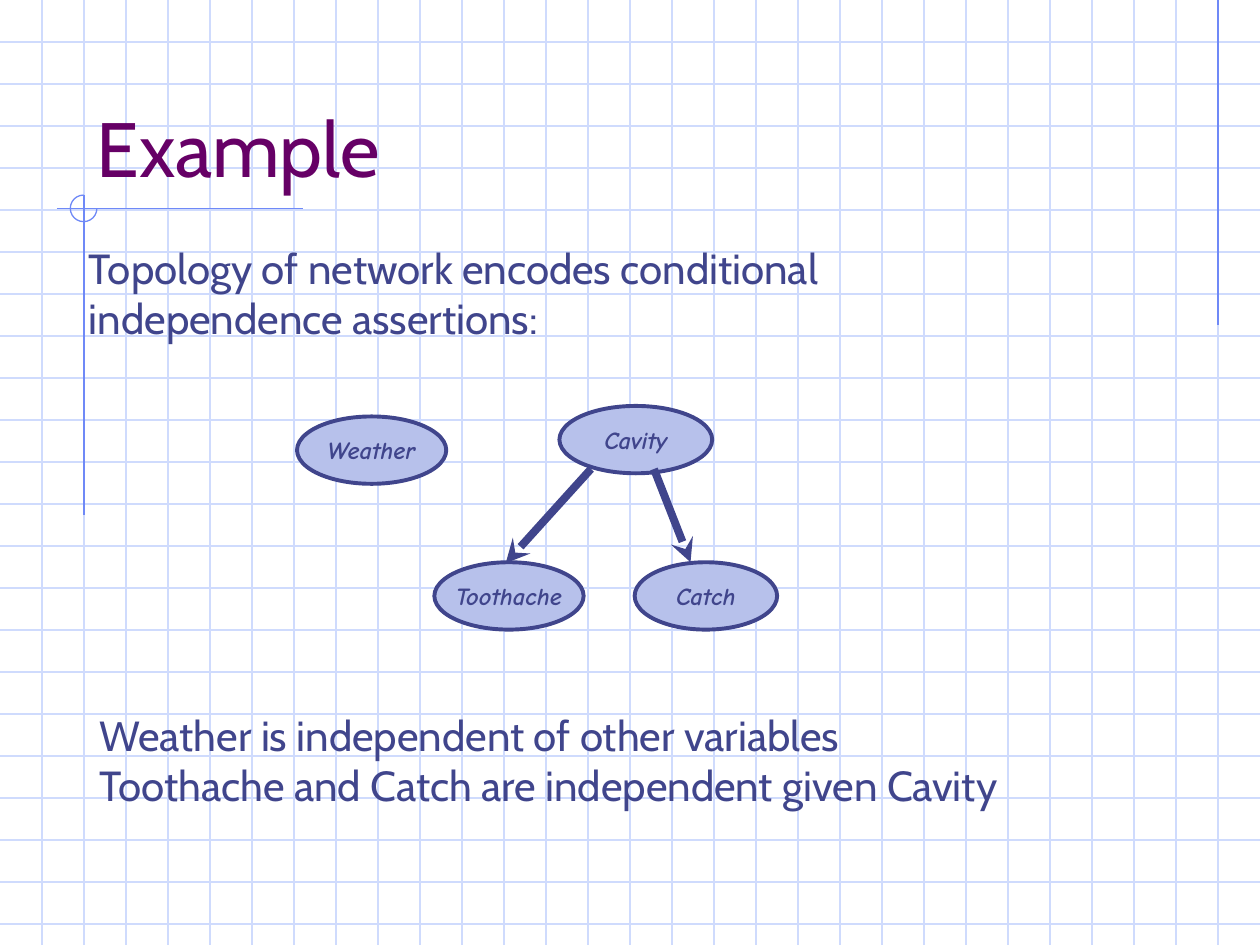
from lxml import etree
from pptx import Presentation
from pptx import util as u
from pptx.dml.color import RGBColor
from pptx.enum import shapes, text
from pptx.oxml.ns import qn

INK = "40458C"
GRID = "CFDBFD"
RULE = "6F89F7"
PITCH = 24
WIDTH, HEIGHT = 720, 540


def colour(hex_code):
    """Turn a hex string into a colour."""
    return RGBColor.from_string(hex_code)


def points(*lengths):
    """Turn plain numbers into point lengths."""
    return [u.Pt(length) for length in lengths]


def style_font(paragraph, face, size, hex_code, strong=False):
    """Set the font of a paragraph; strong means bold and italic."""
    font = paragraph.font
    font.name, font.size, font.color.rgb = face, u.Pt(size), colour(hex_code)
    font.bold = font.italic = strong


def add_line(slide, start, end, hex_code, weight=0.75, arrow=False):
    """Draw a straight line, with an optional stealth arrowhead."""
    line = slide.shapes.add_connector(
        shapes.MSO_CONNECTOR.STRAIGHT, *points(*start, *end))
    line.line.color.rgb = colour(hex_code)
    line.line.width = u.Pt(weight)
    if arrow:
        etree.SubElement(line.line._get_or_add_ln(), qn("a:tailEnd"), type="stealth")
    etree.SubElement(line._element.spPr, qn("a:effectLst"))


def add_background(slide):
    """Draw the squared paper and its margin marks."""
    for y in range(PITCH, HEIGHT, PITCH):
        add_line(slide, (0, y), (WIDTH, y), GRID)
    for x in range(PITCH, WIDTH, PITCH):
        add_line(slide, (x, 0), (x, HEIGHT), GRID)
    add_line(slide, (696, 0), (696, 186), RULE)
    add_line(slide, (32.5, 119.2), (173, 119.2), RULE)
    add_line(slide, (48, 111.5), (48, 294.5), RULE)
    ring = slide.shapes.add_shape(
        shapes.MSO_SHAPE.ARC, *points(40.2, 111.5, 15.2, 15.2))
    ring.adjustments[0] = 0
    ring.adjustments[1] = 270 * 0.6
    ring.fill.background()
    ring.line.color.rgb = colour(RULE)
    ring.line.width = u.Pt(0.75)
    ring.shadow.inherit = False


def add_title(slide, wording):
    """Fill the title placeholder and bring it in front of the grid."""
    title = slide.shapes.title
    title.left, title.top, title.width, title.height = points(48, 24, 612, 90)
    frame = title.text_frame
    frame.text = wording
    frame.auto_size = text.MSO_AUTO_SIZE.NONE
    frame.vertical_anchor = text.MSO_ANCHOR.BOTTOM
    frame.paragraphs[0].alignment = text.PP_ALIGN.LEFT
    style_font(frame.paragraphs[0], "Cabin", 44, "660066")
    slide.shapes._spTree.append(title._element)


def add_node(slide, variable, left, top, width):
    """Draw one variable of the network as a labelled ellipse."""
    node = slide.shapes.add_shape(
        shapes.MSO_SHAPE.OVAL, *points(left, top, width, 38.5))
    node.shadow.inherit = False
    node.fill.solid()
    node.fill.fore_color.rgb = colour("B7C1EB")
    node.line.color.rgb = colour(INK)
    node.line.width = u.Pt(2.25)
    frame = node.text_frame
    frame.text = variable
    frame.word_wrap = False
    frame.vertical_anchor = text.MSO_ANCHOR.MIDDLE
    frame.paragraphs[0].alignment = text.PP_ALIGN.CENTER
    style_font(frame.paragraphs[0], "Comic Neue", 14, INK, strong=True)


def add_statement(slide, wording, left, top, width):
    """Write a block of running text."""
    frame = slide.shapes.add_textbox(*points(left, top, width, 65)).text_frame
    frame.word_wrap = True
    frame.text = wording
    for paragraph in frame.paragraphs:
        style_font(paragraph, "Cabin", 24, INK)


def main():
    """Build the slide and save it."""
    deck = Presentation()
    deck.slide_width, deck.slide_height = points(WIDTH, HEIGHT)
    slide = deck.slides.add_slide(deck.slide_layouts[5])
    add_background(slide)
    add_title(slide, "Example")
    for node in (("Cavity", 319.7, 232, 87.3),
                 ("Toothache", 248.2, 321.3, 85.3),
                 ("Catch", 362.7, 321.3, 81.4),
                 ("Weather", 169.7, 238, 85.3)):
        add_node(slide, *node)
    for cause, effect in (((337.7, 268), (289, 321.8)),
                          ((373.7, 268), (394.6, 321.3))):
        add_line(slide, cause, effect, INK, 4.5, arrow=True)
    add_statement(slide, "Topology of network encodes conditional \v"
                  "independence assertions:", 43.7, 135, 486)
    add_statement(slide, "Weather is independent of other variables\n"
                  "Toothache and Catch are independent given Cavity",
                  49.7, 401.7, 588)
    deck.save("out.pptx")


if __name__ == "__main__":
    main()
